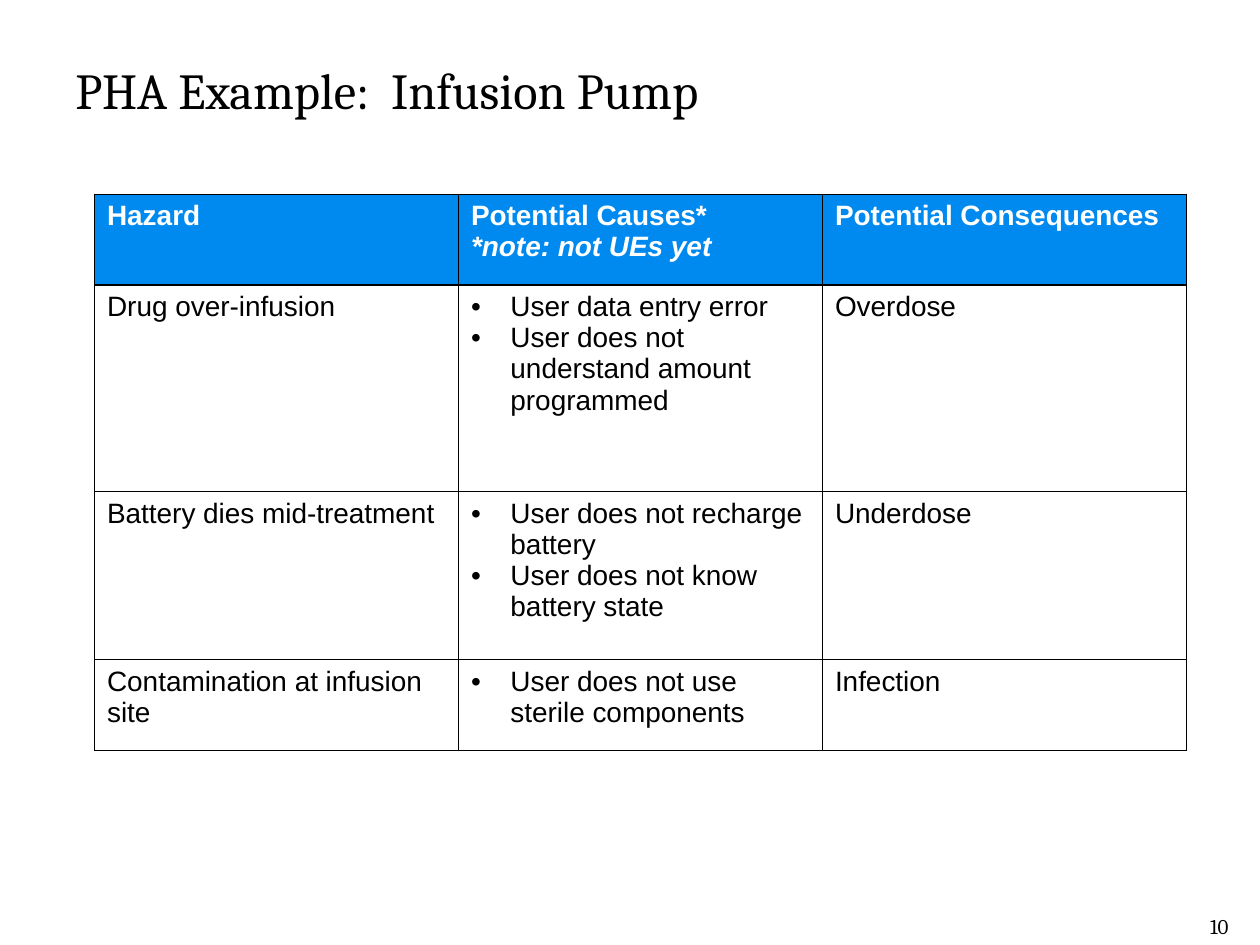
from dataclasses import dataclass
from typing import Any

from lxml import etree
from pptx import Presentation
from pptx.dml.color import RGBColor
from pptx.enum.text import MSO_ANCHOR, PP_ALIGN
from pptx.oxml.ns import qn
from pptx.util import Pt

BLACK = RGBColor(0x00, 0x00, 0x00)
WHITE = RGBColor(0xFF, 0xFF, 0xFF)
BLUE = RGBColor(0x00, 0x8A, 0xEF)
LEFT, RIGHT = PP_ALIGN.LEFT, PP_ALIGN.RIGHT
MIDDLE, BOTTOM = MSO_ANCHOR.MIDDLE, MSO_ANCHOR.BOTTOM
BORDER_SIDES = ("a:lnL", "a:lnR", "a:lnT", "a:lnB")

TITLE = {"name": "Cambria", "size": Pt(28.8)}
PAGE_NUMBER = {"name": "Cambria", "size": Pt(12)}
BODY = {"name": "Arial", "size": Pt(16), "bold": False, "italic": False}
HEADING = {**BODY, "bold": True}
NOTE = {**HEADING, "italic": True}

HEADINGS = ["Hazard", "Potential Causes*", "Potential Consequences"]
CAUSES_NOTE = "*note: not UEs yet"
HAZARDS = [
    ("Drug over-infusion",
     ["User data entry error", "User does not understand amount programmed"],
     "Overdose"),
    ("Battery dies mid-treatment",
     ["User does not recharge battery", "User does not know battery state"],
     "Underdose"),
    ("Contamination at infusion site",
     ["User does not use sterile components"],
     "Infection"),
]
COLUMN_WIDTH = 208
ROW_HEIGHTS = [52, 118, 96, 52]


@dataclass
class HazardSlide:
    slide: Any
    border_width: float = 1
    bullet_indent: float = 22.5

    def styled_text(self, paragraph, text, style, color):
        run = paragraph.add_run()
        run.text = text
        for attribute, value in style.items():
            setattr(run.font, attribute, value)
        run.font.color.rgb = color

    def label(self, text, box, style, align, anchor, inset):
        frame = self.slide.shapes.add_textbox(*map(Pt, box)).text_frame
        layout = {"word_wrap": True, "vertical_anchor": anchor}
        layout.update(zip(("margin_left", "margin_top", "margin_right", "margin_bottom"),
                          map(Pt, inset)))
        for attribute, value in layout.items():
            setattr(frame, attribute, value)
        frame.paragraphs[0].alignment = align
        self.styled_text(frame.paragraphs[0], text, style, BLACK)

    def bullet(self, paragraph):
        properties = paragraph._p.get_or_add_pPr()
        indent = Pt(self.bullet_indent)
        properties.set("marL", str(indent))
        properties.set("indent", str(-indent))
        etree.SubElement(properties, qn("a:buFont"), typeface="Arial")
        etree.SubElement(properties, qn("a:buChar"), char="•")

    def border(self, cell):
        properties = cell._tc.get_or_add_tcPr()
        for side in BORDER_SIDES:
            line = etree.SubElement(properties, qn(side), w=str(Pt(self.border_width)))
            fill = etree.SubElement(line, qn("a:solidFill"))
            etree.SubElement(fill, qn("a:srgbClr"), val=str(BLACK))

    def cell(self, cell, lines, color, fill=None, bulleted=False):
        self.border(cell)
        if fill is None:
            cell.fill.background()
        else:
            cell.fill.solid()
            cell.fill.fore_color.rgb = fill
        frame = cell.text_frame
        for index, (text, style) in enumerate(lines):
            paragraph = frame.add_paragraph() if index else frame.paragraphs[0]
            if bulleted:
                self.bullet(paragraph)
            self.styled_text(paragraph, text, style, color)

    def hazard_table(self, left, top):
        width = COLUMN_WIDTH * len(HEADINGS)
        table = self.slide.shapes.add_table(
            len(ROW_HEIGHTS), len(HEADINGS),
            Pt(left), Pt(top), Pt(width), Pt(sum(ROW_HEIGHTS))).table
        table.horz_banding = False
        for column in table.columns:
            column.width = Pt(COLUMN_WIDTH)
        for row, height in zip(table.rows, ROW_HEIGHTS):
            row.height = Pt(height)
        for column, heading in enumerate(HEADINGS):
            lines = [(heading, HEADING)]
            if heading.endswith("*"):
                lines.append((CAUSES_NOTE, NOTE))
            self.cell(table.cell(0, column), lines, WHITE, BLUE)
        for row, (hazard, causes, consequence) in enumerate(HAZARDS, 1):
            for column, texts in enumerate(([hazard], causes, [consequence])):
                self.cell(table.cell(row, column), [(text, BODY) for text in texts],
                          BLACK, bulleted=texts is causes)


def main():
    presentation = Presentation()
    presentation.slide_width, presentation.slide_height = Pt(720), Pt(540)
    page = HazardSlide(presentation.slides.add_slide(presentation.slide_layouts[6]))
    page.label("10", (642, 522, 60, 14.4), PAGE_NUMBER, RIGHT, BOTTOM, (0, 0, 0, 0))
    page.label("PHA Example:  Infusion Pump", (36, 30, 621, 42), TITLE, LEFT, MIDDLE,
               (7.2, 3.6, 7.2, 3.6))
    page.hazard_table(54, 111)
    presentation.save("out.pptx")


if __name__ == "__main__":
    main()
